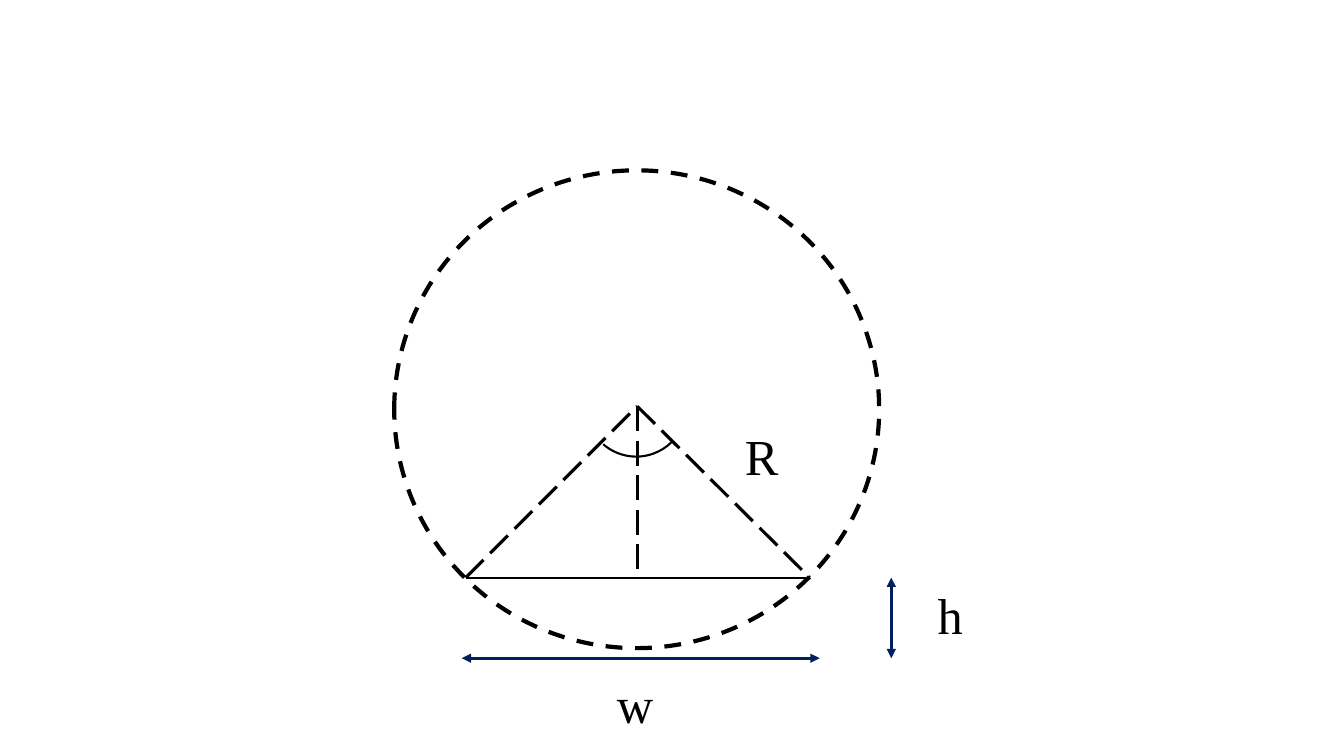
from lxml import etree
from pptx import Presentation
from pptx.dml.color import RGBColor
from pptx.enum.dml import MSO_LINE
from pptx.enum.shapes import MSO_CONNECTOR, MSO_SHAPE
from pptx.enum.text import MSO_AUTO_SIZE
from pptx.oxml.ns import qn
from pptx.util import Inches, Pt

STRAIGHT = MSO_CONNECTOR.STRAIGHT
DASH, LONG_DASH = MSO_LINE.DASH, MSO_LINE.LONG_DASH
BLACK, NAVY, WHITE = "000000", "002060", "FFFFFF"


def style_line(line, color, width, dash=None):
    line.color.rgb = RGBColor.from_string(color)
    line.width = Pt(width)
    if dash is not None:
        line.dash_style = dash


def add_segment(start, end, color, width, dash=None):
    segment = slide.shapes.add_connector(
        STRAIGHT, *(Inches(value) for value in (*start, *end)))
    style_line(segment.line, color, width, dash)
    etree.SubElement(segment._element.spPr, qn("a:effectLst"))
    return segment


prs = Presentation()
prs.slide_width, prs.slide_height = Inches(13.33), Inches(7.5)
slide = prs.slides.add_slide(prs.slide_layouts[6])

center = (6.32, 4.03)
chord_left, chord_right, chord_middle = (4.62, 5.73), (8.03, 5.73), (6.32, 5.73)

circle = slide.shapes.add_shape(
    MSO_SHAPE.OVAL, Inches(3.91), Inches(1.69), Inches(4.81), Inches(4.74))
circle.shadow.inherit = False
circle.fill.solid()
circle.fill.fore_color.rgb = RGBColor.from_string(WHITE)
style_line(circle.line, BLACK, 3, DASH)

for start, end in ((chord_left, center), (center, chord_right), (center, chord_middle)):
    add_segment(start, end, BLACK, 2.25, LONG_DASH)
add_segment(chord_left, chord_right, BLACK, 1.5)

angle_mark = slide.shapes.add_shape(
    MSO_SHAPE.ARC, Inches(5.81), Inches(3.53), Inches(1), Inches(1))
angle_mark.shadow.inherit = False
angle_mark.fill.background()
angle_mark.rotation = 130.9
angle_mark.adjustments[0] = 164.11
angle_mark.adjustments[1] = 0
style_line(angle_mark.line, BLACK, 1.5)

# Width and height dimensions, with an arrowhead at both ends
for start, end in (((4.58, 6.53), (8.13, 6.53)), ((8.84, 5.73), (8.84, 6.53))):
    dimension = add_segment(start, end, NAVY, 2.25)
    outline = dimension.line._get_or_add_ln()
    for arrowhead in ("a:headEnd", "a:tailEnd"):
        etree.SubElement(outline, qn(arrowhead), type="triangle")

for symbol, left, top, width in (
        ("w", 6.02, 6.63, 0.57), ("h", 9.2, 5.75, 0.45), ("R", 7.29, 4.17, 0.54)):
    label = slide.shapes.add_textbox(
        Inches(left), Inches(top), Inches(width), Inches(0.71))
    label.text_frame.word_wrap = False
    label.text_frame.auto_size = MSO_AUTO_SIZE.SHAPE_TO_FIT_TEXT
    run = label.text_frame.paragraphs[0].add_run()
    run.text = symbol
    run.font.name = "Times New Roman"
    run.font.size = Pt(36)
    run.font.color.rgb = RGBColor.from_string(BLACK)

prs.save("out.pptx")
